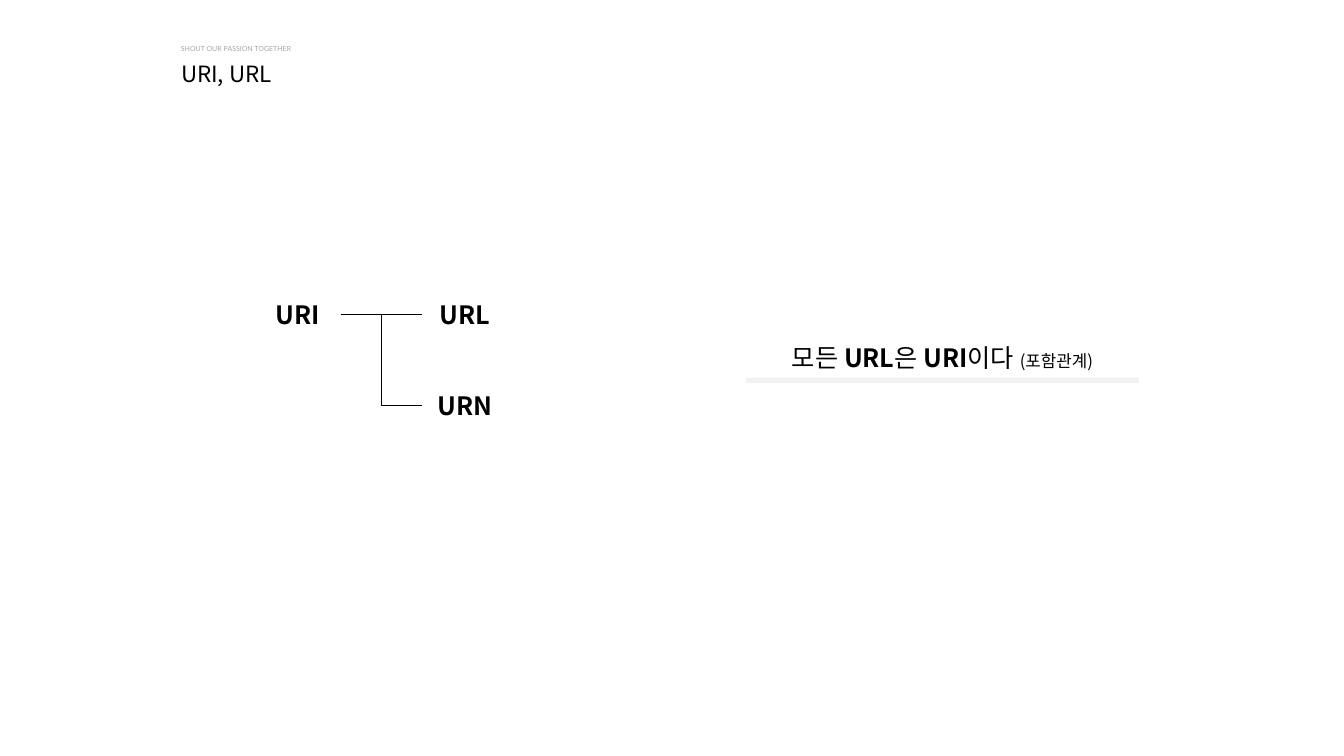
from lxml import etree
from pptx import Presentation
from pptx.dml.color import RGBColor
from pptx.enum import shapes, text
from pptx.oxml import ns
from pptx.util import Pt

PIXEL = 914400 / 100.8
KOREAN = "Noto Sans CJK KR"


def px(*lengths):
    return [round(length * PIXEL) for length in lengths]


def write(shape, runs, size=18, font=KOREAN, color="000000", align=text.PP_ALIGN.CENTER):
    frame = shape.text_frame
    frame.word_wrap = True
    frame.auto_size = text.MSO_AUTO_SIZE.NONE
    frame.vertical_anchor = text.MSO_ANCHOR.TOP
    paragraph = frame.paragraphs[0]
    paragraph.alignment = align
    for words, bold, run_size in runs:
        run = paragraph.add_run()
        run.text = words
        run.font.size = Pt(run_size or size)
        run.font.bold = bold
        run.font.name = font
        run.font.color.rgb = RGBColor.from_string(color)
        east_asian = etree.SubElement(run._r.get_or_add_rPr(), ns.qn("a:ea"))
        east_asian.set("typeface", font)


deck = Presentation()
deck.slide_width, deck.slide_height = px(1344, 756)
slide = deck.slides.add_slide(deck.slide_layouts[5])
parts = slide.shapes

slogan = parts.add_textbox(*px(171, 40, 196, 19))
write(slogan, [("SHOUT OUR PASSION TOGETHER", False, None)], size=5, font="Lato",
      color="A6A6A6", align=text.PP_ALIGN.JUSTIFY)

heading = parts.title
heading.left, heading.top, heading.width, heading.height = px(171, 55, 181, 37)
write(heading, [("URI, URL", False, None)], size=16, align=text.PP_ALIGN.LEFT)

for term, left, top in [("URI", 255, 294), ("URL", 422, 294), ("URN", 422, 385)]:
    write(parts.add_textbox(*px(left, top, 86, 40)), [(term, True, None)])

for kind, end_y in [(shapes.MSO_CONNECTOR.STRAIGHT, 314), (shapes.MSO_CONNECTOR.ELBOW, 405)]:
    branch = parts.add_connector(kind, *px(341, 314, 422, end_y))
    branch.line.width = Pt(0.5)
    branch.line.color.rgb = RGBColor.from_string("000000")
    etree.SubElement(branch._element.spPr, ns.qn("a:effectLst"))

underline = parts.add_shape(shapes.MSO_SHAPE.RECTANGLE, *px(746, 378, 393, 5))
underline.shadow.inherit = False
underline.fill.solid()
underline.fill.fore_color.rgb = RGBColor.from_string("F2F2F2")
underline.line.fill.background()

statement = parts.add_textbox(*px(746, 337, 393, 40))
write(statement, [("모든 ", False, None), ("URL", True, None), ("은 ", False, None),
                  ("URI", True, None), ("이다 ", False, None), ("(포함관계)", False, 12)])

deck.save("out.pptx")
